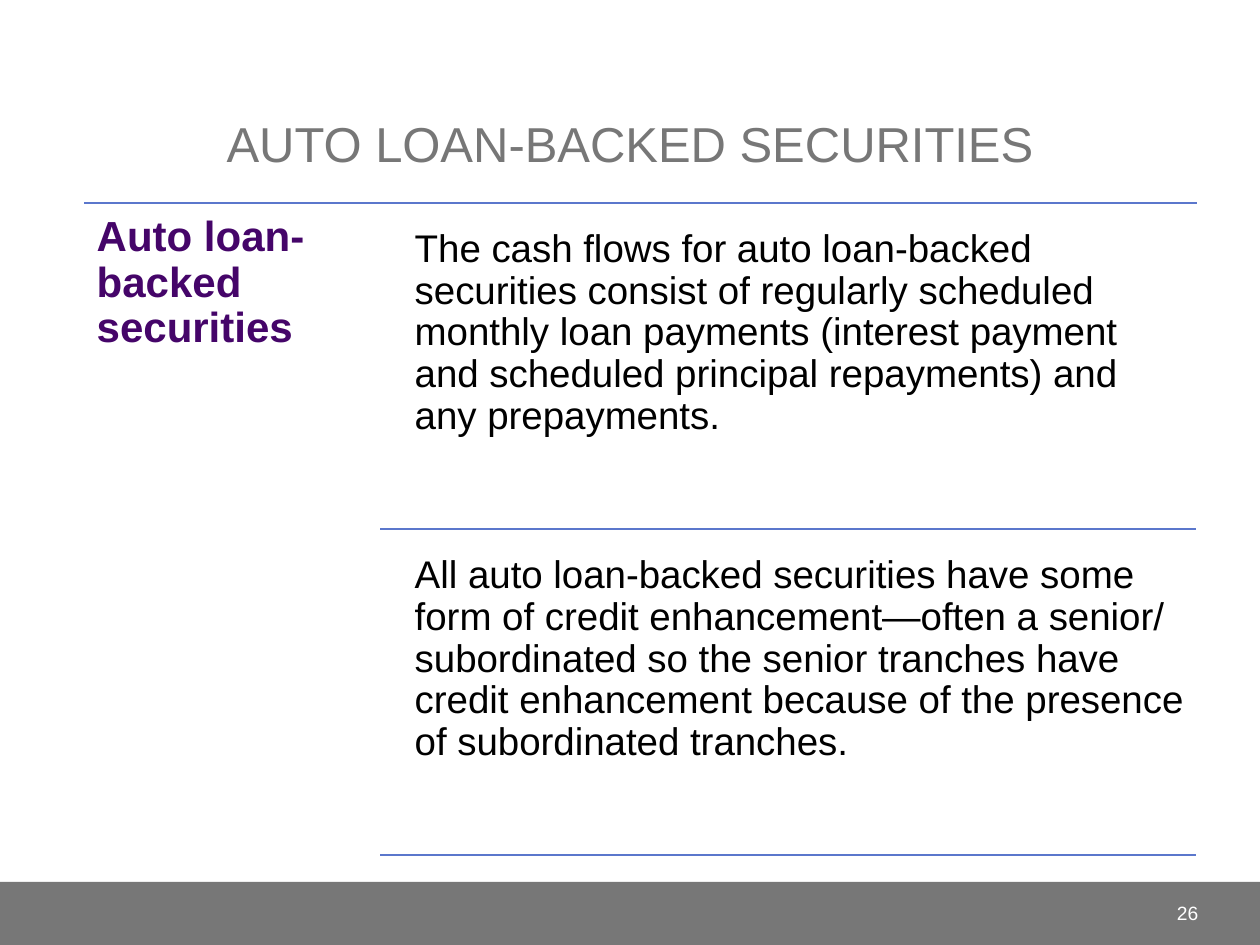
from lxml import etree
from pptx import Presentation
from pptx.dml.color import RGBColor
from pptx.enum import shapes, text
from pptx.oxml import ns
from pptx.util import Pt

COLORS = {"grey": "777777", "white": "FFFFFF", "rule": "5B77CC",
          "purple": "450569", "black": "000000"}


def write(box, words, size, color, align, anchor, inset=None, bold=False):
    frame = box.text_frame
    frame.text = words
    frame.word_wrap = True
    frame.auto_size = text.MSO_AUTO_SIZE.NONE
    frame.vertical_anchor = anchor
    if inset is not None:
        frame.margin_left = frame.margin_right = Pt(inset)
        frame.margin_top = frame.margin_bottom = Pt(inset)
    para = frame.paragraphs[0]
    para.alignment = align
    font = para.runs[0].font
    font.name, font.size, font.bold = "Arial", Pt(size), bold
    font.color.rgb = RGBColor.from_string(COLORS[color])
    return para


def add_rule(page, left, right, top):
    rule = page.shapes.add_connector(
        shapes.MSO_CONNECTOR.STRAIGHT, Pt(left), Pt(top), Pt(right), Pt(top))
    rule.line.color.rgb = RGBColor.from_string(COLORS["rule"])
    rule.line.width = Pt(1)
    etree.SubElement(rule._element.spPr, ns.qn("a:effectLst"))


deck = Presentation()
deck.slide_width, deck.slide_height = Pt(720), Pt(540)
page = deck.slides.add_slide(deck.slide_layouts[5])
left, center, right = text.PP_ALIGN.LEFT, text.PP_ALIGN.CENTER, text.PP_ALIGN.RIGHT
top, middle, bottom = text.MSO_ANCHOR.TOP, text.MSO_ANCHOR.MIDDLE, text.MSO_ANCHOR.BOTTOM

# Footer band and page number
band = page.shapes.add_shape(shapes.MSO_SHAPE.RECTANGLE, 0, Pt(504), Pt(720), Pt(36))
band.shadow.inherit = False
band.fill.solid()
band.fill.fore_color.rgb = RGBColor.from_string(COLORS["grey"])
band.line.fill.background()
number = page.shapes.add_textbox(Pt(630), Pt(507), Pt(61.9), Pt(28.8))
write(number, "26", 11, "white", right, middle)

# Title
title = page.shapes.title
title.left, title.top, title.width, title.height = Pt(30), Pt(12.2), Pt(660), Pt(90)
write(title, "AUTO LOAN-BACKED SECURITIES", 28, "grey", center, bottom)

# Topic on the left, under the full-width rule
add_rule(page, 48.2, 684, 115.9)
topic = page.shapes.add_textbox(Pt(48.2), Pt(115.9), Pt(169.2), Pt(382.3))
para = write(topic, "Auto loan-backed securities", 24, "purple", left, top, 7.2, bold=True)
para.line_spacing = 0.9

# Statements on the right, each closed by a rule
statements = [
    "The cash flows for auto loan-backed securities consist of regularly scheduled "
    "monthly loan payments (interest payment and scheduled principal repayments) "
    "and any prepayments.",
    "All auto loan-backed securities have some form of credit enhancement—often a "
    "senior/ subordinated so the senior tranches have credit enhancement because of "
    "the presence of subordinated tranches.",
]
for row, statement in enumerate(statements):
    row_top = 124.6 + row * 186.4
    box = page.shapes.add_textbox(Pt(230.4), Pt(row_top), Pt(453.6), Pt(177.8))
    para = write(box, statement, 22, "black", left, top, 6.6)
    para.line_spacing = 0.9
    add_rule(page, 217.4, 683.3, row_top + 177.8)

deck.save("out.pptx")
